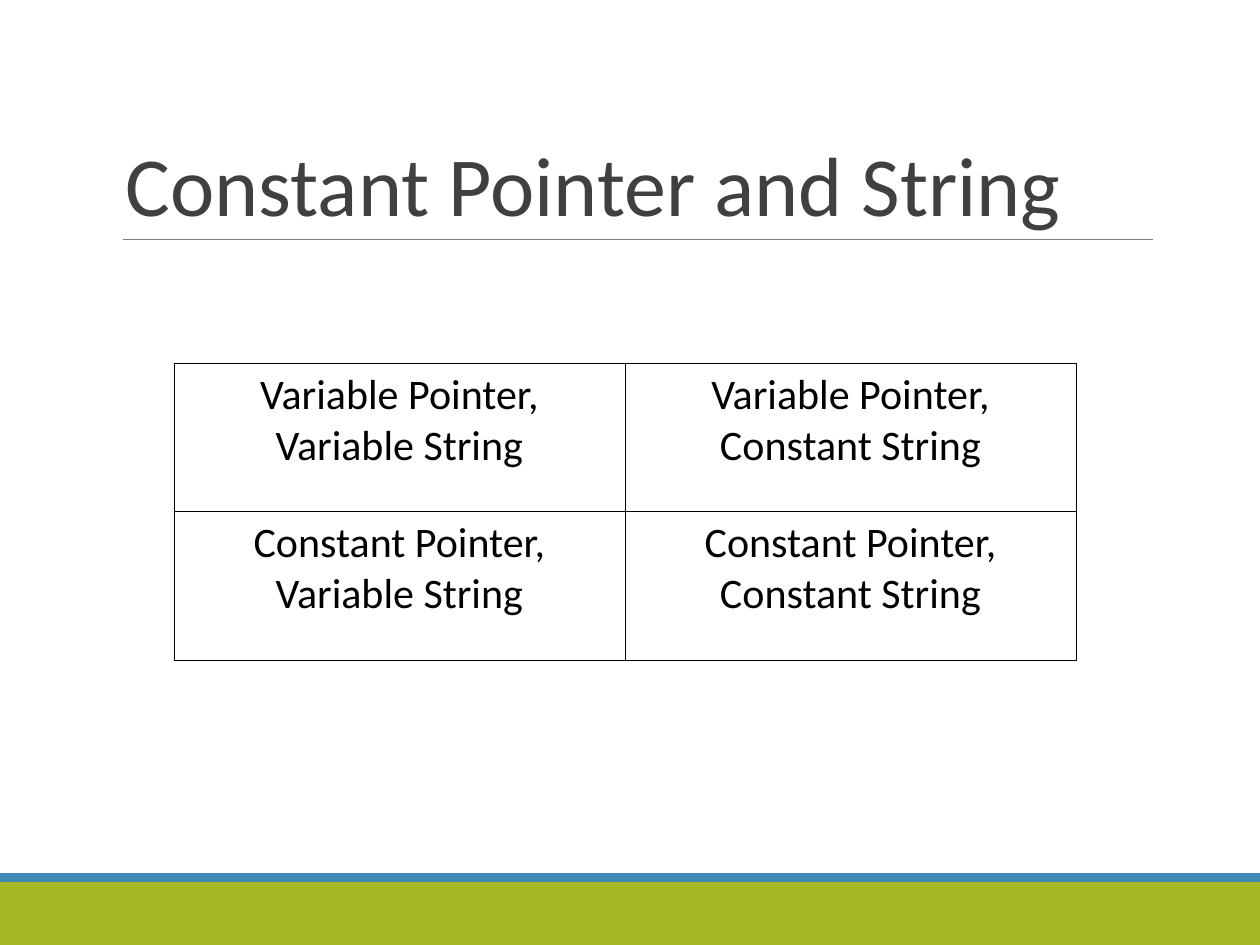
"""Build the slide "Constant Pointer and String" with its two-by-two table."""
from lxml import etree
from pptx import Presentation, util as u
from pptx.dml.color import RGBColor
from pptx.enum import shapes, text
from pptx.oxml.ns import qn

COLORS = {"green": "A6B727", "blue": "418AB3", "rule": "7F7F7F",
          "title": "404040", "black": "000000"}
FONT = "Calibri"


def rgb(name):
    return RGBColor.from_string(COLORS[name])


def style(p, size, color):
    p.font.name, p.font.size = FONT, u.Pt(size)
    p.font.color.rgb = rgb(color)


prs = Presentation()
prs.slide_width, prs.slide_height = u.Inches(10), u.Inches(7.5)
W = prs.slide_width
s = prs.slides.add_slide(prs.slide_layouts[6])

for color, top, height in (("green", 7, 0.5), ("blue", 6.93, 0.07)):
    sp = s.shapes.add_shape(shapes.MSO_SHAPE.RECTANGLE, 0, u.Inches(top), W, u.Inches(height))
    sp.shadow.inherit = False
    sp.fill.solid()
    sp.fill.fore_color.rgb = rgb(color)
    sp.line.fill.background()

rule_y, right = u.Inches(1.9), u.Inches(9.15)
cx = s.shapes.add_connector(shapes.MSO_CONNECTOR.STRAIGHT, u.Inches(0.98), rule_y, right, rule_y)
cx.line.color.rgb = rgb("rule")
cx.line.width = u.Pt(0.5)
etree.SubElement(cx._element.spPr, qn("a:effectLst"))

left, top = u.Inches(0.9), u.Inches(0.31)
tf = s.shapes.add_textbox(left, top, right - left, rule_y - top).text_frame
tf.word_wrap = True
tf.vertical_anchor = text.MSO_ANCHOR.BOTTOM
p = tf.paragraphs[0]
p.text = "Constant Pointer and String"
p.line_spacing = 0.85
style(p, 48, "title")

kinds = ("Variable", "Constant")
col_w, row_h = u.Inches(3.58), u.Inches(1.18)
tbl = s.shapes.add_table(2, 2, u.Inches(1.38), u.Inches(2.88), 2 * col_w, 2 * row_h).table
tbl.first_row = tbl.horz_banding = False
for i, pointer in enumerate(kinds):
    tbl.columns[i].width = col_w
    tbl.rows[i].height = row_h
    for j, string in enumerate(kinds):
        cell = tbl.cell(i, j)
        p = cell.text_frame.paragraphs[0]
        p.text = f"{pointer} Pointer, {string} String"
        p.alignment = text.PP_ALIGN.CENTER
        style(p, 24, "black")
        tcPr = cell._tc.get_or_add_tcPr()
        for side in ("lnL", "lnR", "lnT", "lnB"):
            ln = etree.SubElement(tcPr, qn(f"a:{side}"), w=str(u.Pt(0.45)))
            fill = etree.SubElement(ln, qn("a:solidFill"))
            etree.SubElement(fill, qn("a:srgbClr"), val=COLORS["black"])
        cell.fill.background()

prs.save("out.pptx")
